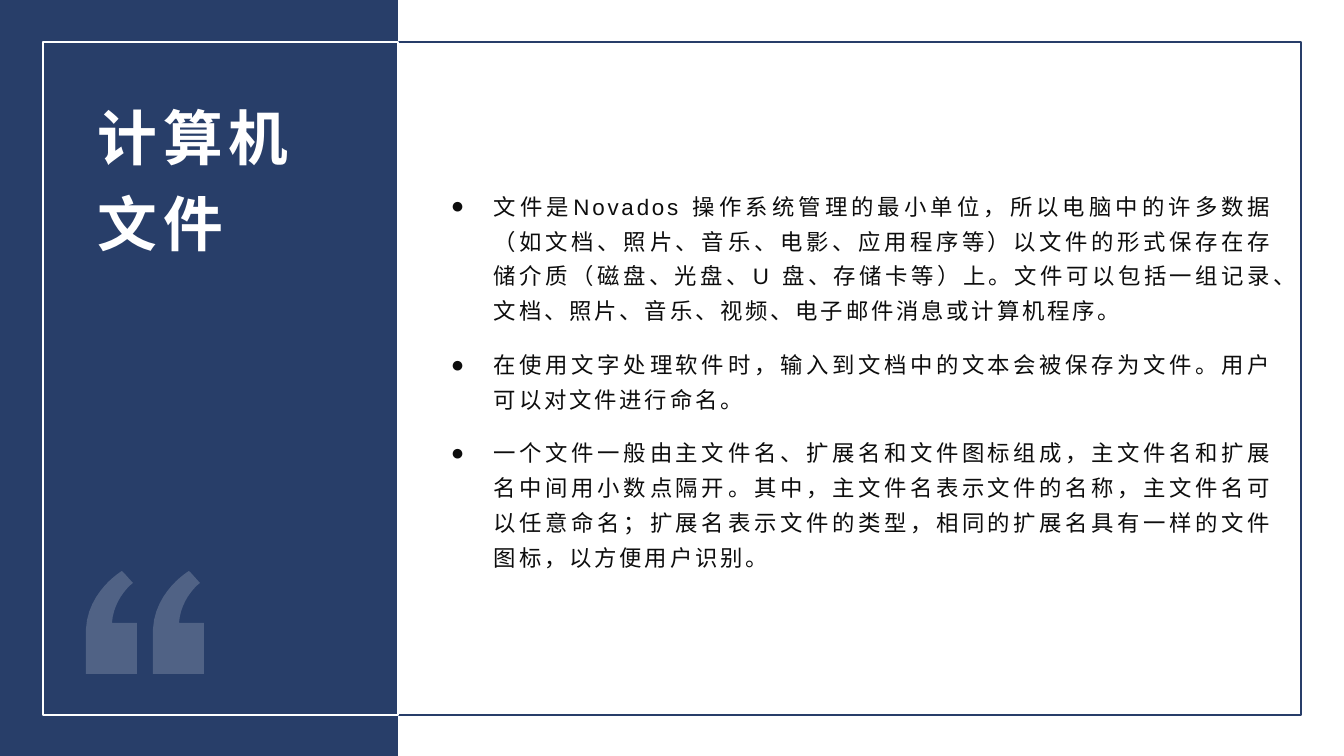
from lxml import etree
from pptx import Presentation
from pptx import util as u
from pptx.dml.color import RGBColor
from pptx.enum import shapes, text
from pptx.oxml.ns import qn

TITLE = "计算机文件"
POINTS = [
    "文件是Novados 操作系统管理的最小单位，所以电脑中的许多数据（如文档、照片、音乐、电影、应用程序等）以文件的形式保存在存储介质（磁盘、光盘、U 盘、存储卡等）上。文件可以包括一组记录、文档、照片、音乐、视频、电子邮件消息或计算机程序。",
    "在使用文字处理软件时，输入到文档中的文本会被保存为文件。用户可以对文件进行命名。",
    "一个文件一般由主文件名、扩展名和文件图标组成，主文件名和扩展名中间用小数点隔开。其中，主文件名表示文件的名称，主文件名可以任意命名；扩展名表示文件的类型，相同的扩展名具有一样的文件图标，以方便用户识别。",
]
COLORS = {"navy": "283E69", "white": "FFFFFF", "ink": "0D0D0D"}
FONT = "Arial"
PX = 914400 / 134.4

PANEL = (-3, 0, 401, 758)
TITLE_BOX = (87, 82, 269, 255)
POINTS_BOX = (442, 178, 841, 400)
FRAMES = [((398, 42, 903, 673), "navy"), ((43, 42, 355, 673), "white")]
QUOTE_LEFTS, QUOTE_TOP = (153, 86), 571
OUTER_CURVE = [(0, 58), (2, 20), (36, 0), (36, 0)]
INNER_CURVE = [(47, 12), (47, 12), (28, 26), (26, 52)]
CURVE_STEPS = 12
INDENT = 43


def px(*lengths):
    return [u.Emu(round(length * PX)) for length in lengths]


def color(name):
    return RGBColor.from_string(COLORS[name])


def bezier(a, b, c, d):
    points = []
    for step in range(CURVE_STEPS + 1):
        t = step / CURVE_STEPS
        s = 1 - t
        points.append(tuple(
            s**3 * p + 3 * s * s * t * q + 3 * s * t * t * r + t**3 * v
            for p, q, r, v in zip(a, b, c, d)))
    return points


def add_rectangle(box, fill=None, line=None):
    rectangle = slide.shapes.add_shape(shapes.MSO_SHAPE.RECTANGLE, *px(*box))
    rectangle.shadow.inherit = False
    if fill:
        rectangle.fill.solid()
        rectangle.fill.fore_color.rgb = color(fill)
    else:
        rectangle.fill.background()
    if line:
        rectangle.line.color.rgb = color(line)
        rectangle.line.width = u.Pt(1.5)
    else:
        rectangle.line.fill.background()


def add_text(box, insets):
    frame = slide.shapes.add_textbox(*px(*box)).text_frame
    frame.word_wrap = True
    (frame.margin_left, frame.margin_top,
     frame.margin_right, frame.margin_bottom) = px(*insets)
    return frame


def style(paragraph, size, ink, spacing, bold=False):
    for run in paragraph.runs:
        run.font.size = u.Pt(size)
        run.font.bold = bold
        run.font.color.rgb = color(ink)
        run.font.name = FONT
        properties = run._r.get_or_add_rPr()
        properties.set("spc", str(round(spacing * 100)))
        etree.SubElement(properties, qn("a:ea"), typeface=FONT)


def add_bullet(paragraph):
    properties = paragraph._p.get_or_add_pPr()
    indent, = px(INDENT)
    properties.set("marL", str(indent))
    properties.set("indent", str(-indent))
    etree.SubElement(properties, qn("a:buFont"), typeface=FONT)
    etree.SubElement(properties, qn("a:buChar"), char="●")


def add_quote(left):
    outline = [(51, 103), (0, 103), *bezier(*OUTER_CURVE), (38, 2),
               *bezier(*INNER_CURVE), (51, 52)]
    corners = [px(left + x, QUOTE_TOP + y) for x, y in outline]
    builder = slide.shapes.build_freeform(*corners[0], scale=1.0)
    builder.add_line_segments(corners[1:], close=True)
    quote = builder.convert_to_shape()
    quote.shadow.inherit = False
    quote.line.fill.background()
    quote.fill.solid()
    quote.fill.fore_color.rgb = color("white")
    tint = quote._element.spPr.find(qn("a:solidFill"))[0]
    etree.SubElement(tint, qn("a:alpha"), val="19000")


deck = Presentation()
deck.slide_width, deck.slide_height = px(1344, 756)
slide = deck.slides.add_slide(deck.slide_layouts[6])

add_rectangle(PANEL, fill="navy")

title = add_text(TITLE_BOX, (11, 4, 8, 4))
title.text = TITLE
title.paragraphs[0].line_spacing = 1.2
style(title.paragraphs[0], 32, "white", 3, bold=True)

body = add_text(POINTS_BOX, (9, 5, 9, 5))
body.vertical_anchor = text.MSO_ANCHOR.MIDDLE
body.auto_size = text.MSO_AUTO_SIZE.SHAPE_TO_FIT_TEXT
body.text = "\n".join(POINTS)
for index, point in enumerate(body.paragraphs):
    add_bullet(point)
    point.alignment = text.PP_ALIGN.JUSTIFY
    point.line_spacing = 1.3
    point.space_before = u.Pt(10 if index else 0)
    style(point, 12, "ink", 1.5)

for box, line in FRAMES:
    add_rectangle(box, line=line)

for left in QUOTE_LEFTS:
    add_quote(left)

deck.save("out.pptx")
